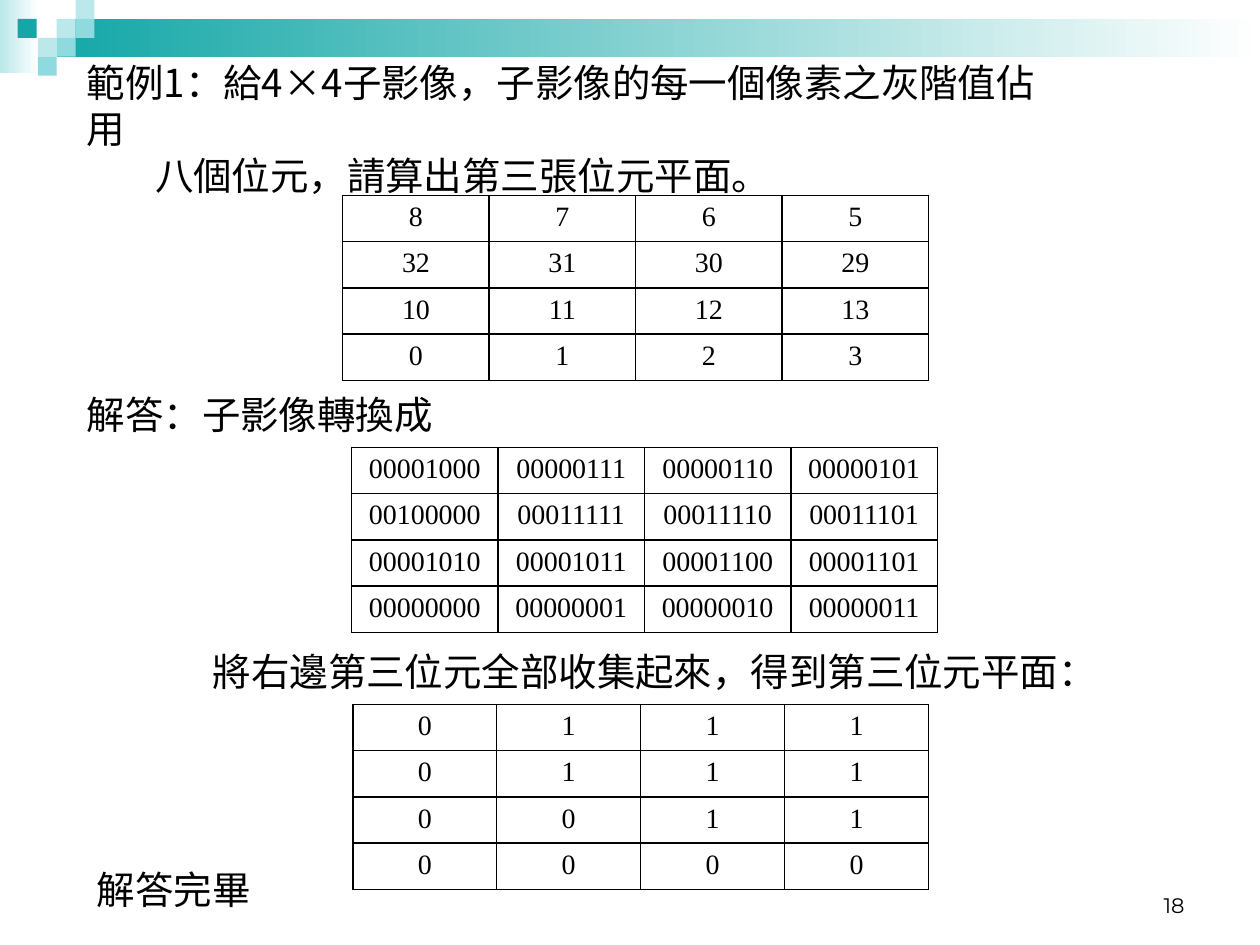
from lxml import etree
from pptx import Presentation
from pptx.dml.color import RGBColor
from pptx.enum.text import MSO_ANCHOR, MSO_AUTO_SIZE, PP_ALIGN
from pptx.enum.shapes import MSO_SHAPE
from pptx.oxml.ns import qn
from pptx.util import Inches, Pt

RECT = MSO_SHAPE.RECTANGLE
MID, LOW = MSO_ANCHOR.MIDDLE, MSO_ANCHOR.BOTTOM
LEFT, MIDDLE, RIGHT = PP_ALIGN.LEFT, PP_ALIGN.CENTER, PP_ALIGN.RIGHT
FIXED = MSO_AUTO_SIZE.NONE

HEX = {"teal": "15A7A7", "aqua": "8EDADE", "pale": "BBE8EB",
       "white": "FFFFFF", "black": "000000"}
SANS, SERIF, NUM = "Noto Sans CJK SC", "Times New Roman", "Montserrat"

BANDS = [((0, 0, 0.31, 0.58), "pale"), ((0.45, 0.15, 9.55, 0.3), "teal")]
TILE = 0.15
TILES = [(0.45, 0.15, "pale"), (0.6, 0, "pale"), (0.6, 0.15, "aqua"),
         (0.3, 0.3, "pale"), (0.14, 0.15, "teal"), (0.45, 0.3, "aqua"),
         (0.3, 0.45, "aqua")]

HEAD = ((0.59, 0.6, 7.93, 0.84),
        [("範例1：給4×4子影像，子影像的每一個像素之灰階值佔用", 0),
         ("八個位元，請算出第三張位元平面。", 0.54)])
NOTES = [
    ((0.59, 3.05, 2.98, 0.47), [("解答：子影像轉換成", 0)]),
    ((0.59, 5.09, 8.39, 0.47),
     [("將右邊第三位元全部收集起來，得到第三位元平面：", 1)]),
    ((0.67, 6.82, 1.44, 0.47), [("解答完畢", 0)]),
]
PAGE = ((7.17, 6.83, 2.33, 0.5), [("18", 0)])

GRAYS = [[8, 7, 6, 5], [32, 31, 30, 29], [10, 11, 12, 13], [0, 1, 2, 3]]
BYTES = [[f"{gray:08b}" for gray in row] for row in GRAYS]
PLANE = [[byte[-3] for byte in row] for row in BYTES]
GRIDS = [(2.72, 1.55, 4.65, GRAYS), (2.79, 3.55, 4.65, BYTES),
         (2.8, 5.59, 4.57, PLANE)]
HIGH = 1.47


def color(name):
    return RGBColor.from_string(HEX[name])


def place(shape, box):
    shape.left, shape.top, shape.width, shape.height = map(Inches, box)


def add_run(para, text, face, size, align):
    para.alignment = align
    run = para.add_run()
    run.text = text
    run.font.name, run.font.size = face, Pt(size)
    run.font.color.rgb = color("black")
    east = etree.SubElement(run.font._element, qn("a:ea"))
    east.set("typeface", face)


def write(shape, item, face=SANS, size=22, align=LEFT, anchor=MID):
    box, lines = item
    place(shape, box)
    frame = shape.text_frame
    frame.word_wrap, frame.auto_size = True, FIXED
    frame.vertical_anchor = anchor
    for i, (text, dent) in enumerate(lines):
        para = frame.add_paragraph() if i else frame.paragraphs[0]
        para.line_spacing = Pt(size * 1.2)
        para.space_before = Pt(0)
        para._p.get_or_add_pPr().set("marL", str(Inches(dent)))
        add_run(para, text, face, size, align)


def add_rect(group, box):
    rect = group.shapes.add_shape(RECT, *map(Inches, box))
    rect.shadow.inherit = False
    rect.line.fill.background()
    return rect.fill


def add_deco(slide):
    group = slide.shapes.add_group_shape()
    for box, name in BANDS:
        fill = add_rect(group, box)
        fill.gradient()
        fill.gradient_angle = 0
        for stop, tint, spot in zip(fill.gradient_stops, (name, "white"), (0, 1)):
            stop.color.rgb, stop.position = color(tint), spot
    for left, top, name in TILES:
        fill = add_rect(group, (left, top, TILE, TILE))
        fill.solid()
        fill.fore_color.rgb = color(name)


def add_edges(cell):
    props = cell._tc.get_or_add_tcPr()
    for side in ("lnL", "lnR", "lnT", "lnB"):
        line = etree.SubElement(props, qn(f"a:{side}"), w=str(Pt(1)))
        fill = etree.SubElement(line, qn("a:solidFill"))
        etree.SubElement(fill, qn("a:srgbClr"), val=HEX["black"])


def add_grid(slide, left, top, wide, rows):
    count = len(rows)
    box = map(Inches, (left, top, wide, HIGH))
    table = slide.shapes.add_table(count, len(rows[0]), *box).table
    table.first_row = table.horz_banding = False
    for r, row in enumerate(rows):
        table.rows[r].height = Inches(HIGH / count)
        for c, value in enumerate(row):
            cell = table.cell(r, c)
            add_edges(cell)
            cell.fill.background()
            add_run(cell.text_frame.paragraphs[0], str(value), SERIF, 16, MIDDLE)


def main():
    """Build the bit-plane example slide."""
    deck = Presentation()
    deck.slide_width, deck.slide_height = Inches(10), Inches(7.5)
    slide = deck.slides.add_slide(deck.slide_layouts[5])
    add_deco(slide)
    write(slide.shapes.title, HEAD)
    for note in NOTES:
        write(slide.shapes.add_textbox(0, 0, 0, 0), note)
    for grid in GRIDS:
        add_grid(slide, *grid)
    write(slide.shapes.add_textbox(0, 0, 0, 0), PAGE, NUM, 12, RIGHT, LOW)
    deck.save("out.pptx")


if __name__ == "__main__":
    main()
